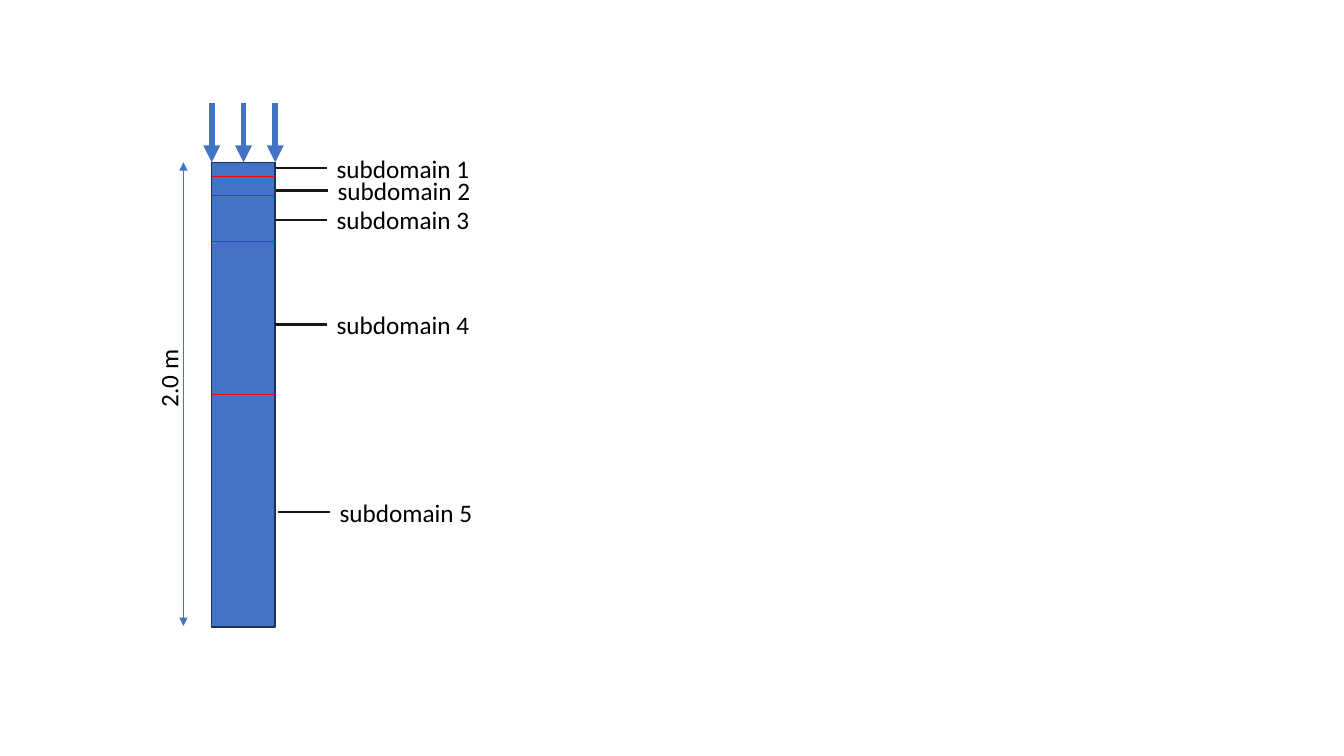
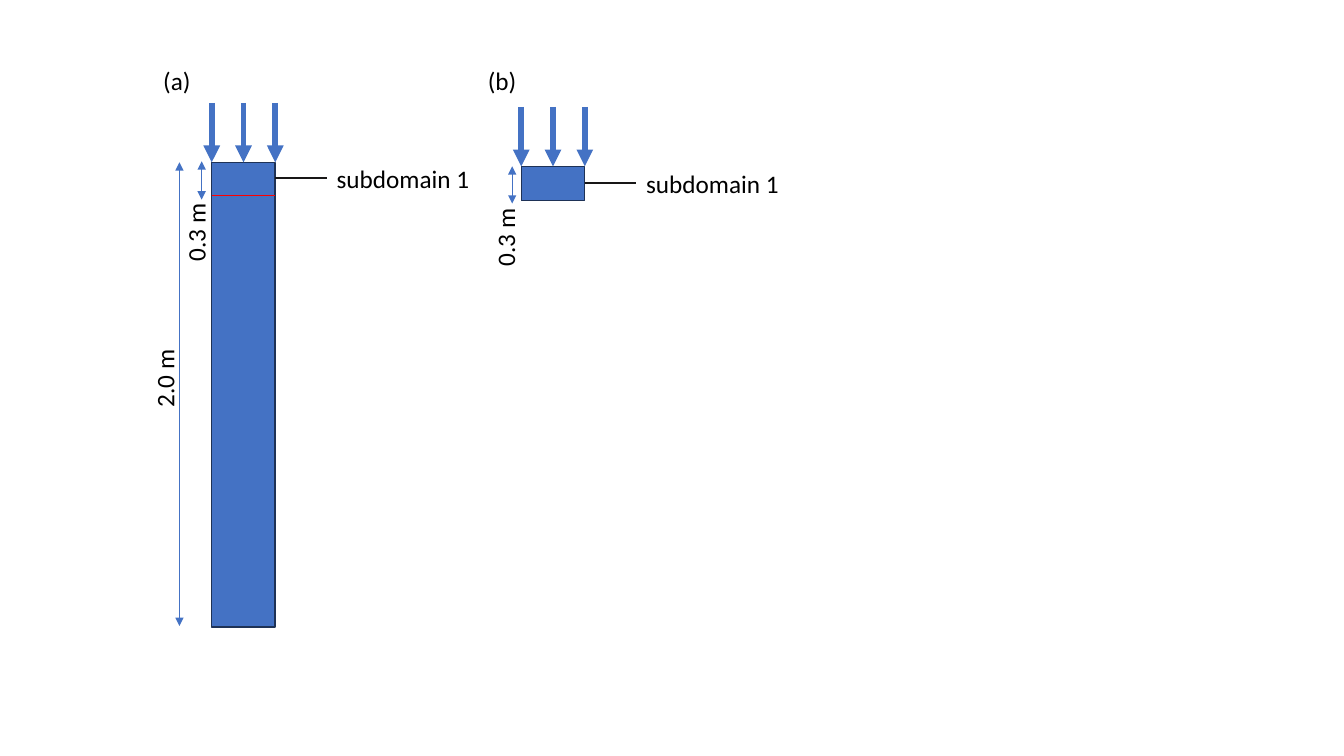
"""Build two slides showing a loaded soil column and its subdomains."""
from dataclasses import dataclass

from lxml import etree
from pptx import Presentation
from pptx.dml.color import RGBColor
from pptx.enum import shapes, text
from pptx.oxml.ns import qn
from pptx.util import Inches, Pt


@dataclass(frozen=True)
class Theme:
    soil: RGBColor = RGBColor(0x44, 0x72, 0xC4)
    outline: RGBColor = RGBColor(0x1E, 0x32, 0x56)
    boundary: RGBColor = RGBColor(0xFF, 0x00, 0x00)
    leader: RGBColor = RGBColor(0x18, 0x17, 0x17)
    ink: RGBColor = RGBColor(0x00, 0x00, 0x00)
    font: str = "Calibri"
    size: int = 18
    thin: float = 0.5
    edge: float = 1
    medium: float = 1.5
    load: float = 4


THEME = Theme()
COLUMN_WIDTH = 0.63
LOAD_LENGTH = 0.59
LOAD_COUNT = 3
LEADER_LENGTH = 0.51
TEXT_HEIGHT = 0.4
LABEL_WIDTH = 1.55
DIMENSION_WIDTH = 0.78

FULL_COLUMN = {"left": 2.1, "top": 1.61, "height": 4.61}
SLIDES = [
    {
        "columns": [{
            **FULL_COLUMN,
            "boundaries": [(3.91, 0), (2.39, 0.01), (1.94, 0), (1.75, 0)],
            "subdomains": [
                ("subdomain 1", 1.67, 0),
                ("subdomain 2", 1.89, 0.01),
                ("subdomain 3", 2.18, 0),
                ("subdomain 4", 3.22, 0),
                ("subdomain 5", 5.08, 0.03),
            ],
        }],
        "dimensions": [("2.0 m", 1.82, 1.61, 6.21, (1.67, 3.75))],
        "captions": [],
    },
    {
        "columns": [
            {**FULL_COLUMN, "boundaries": [(1.94, 0)],
             "subdomains": [("subdomain 1", 1.77, 0)]},
            {"left": 5.17, "top": 1.65, "height": 0.34, "boundaries": [],
             "subdomains": [("subdomain 1", 1.82, 0)]},
        ],
        "dimensions": [
            ("2.0 m", 1.78, 1.61, 6.21, (1.63, 3.75)),
            ("0.3 m", 2.0, 1.6, 1.98, (1.94, 2.3)),
            ("0.3 m", 5.08, 1.65, 2.02, (5.01, 2.35)),
        ],
        "captions": [("(a)", 1.52, 0.6, 0.48), ("(b)", 4.74, 0.6, 0.49)],
    },
]


def add_line(parent, start, end, color, width, arrows=()):
    line = parent.add_connector(
        shapes.MSO_CONNECTOR.STRAIGHT, *(Inches(v) for v in (*start, *end)))
    line.line.color.rgb = color
    line.line.width = Pt(width)
    outline = line.line._get_or_add_ln()
    for arrow in arrows:
        etree.SubElement(outline, qn(f"a:{arrow}"), type="triangle")
    etree.SubElement(line._element.spPr, qn("a:effectLst"))
    return line


def add_label(parent, words, left, top, width, rotation=0):
    label = parent.add_textbox(
        *(Inches(v) for v in (left, top, width, TEXT_HEIGHT)))
    label.rotation = rotation
    frame = label.text_frame
    frame.word_wrap = False
    frame.auto_size = text.MSO_AUTO_SIZE.SHAPE_TO_FIT_TEXT
    run = frame.paragraphs[0].add_run()
    run.text = words
    run.font.name = THEME.font
    run.font.size = Pt(THEME.size)
    run.font.color.rgb = THEME.ink


def add_column(parent, column):
    left, top, height = column["left"], column["top"], column["height"]
    right = left + COLUMN_WIDTH
    soil = parent.add_shape(
        shapes.MSO_SHAPE.RECTANGLE,
        *(Inches(v) for v in (left, top, COLUMN_WIDTH, height)))
    soil.shadow.inherit = False
    soil.fill.solid()
    soil.fill.fore_color.rgb = THEME.soil
    soil.line.color.rgb = THEME.outline
    soil.line.width = Pt(THEME.edge)

    for index in range(LOAD_COUNT):
        x = left + index * COLUMN_WIDTH / (LOAD_COUNT - 1)
        load = add_line(parent, (x, top - LOAD_LENGTH), (x, top),
                        THEME.soil, THEME.load, ["tailEnd"])
        if index == LOAD_COUNT // 2:
            load.end_connect(soil, 0)

    for y, shift in column["boundaries"]:
        add_line(parent, (left + shift, y), (right + shift, y),
                 THEME.boundary, THEME.thin)

    for name, y, shift in column["subdomains"]:
        label_left = right + LEADER_LENGTH + shift
        leader = add_line(parent, (right + shift, y), (label_left, y),
                          THEME.leader, THEME.medium)
        if abs(y - top - height / 2) < 0.01:
            leader.begin_connect(soil, 3)
        add_label(parent, name, label_left, y - TEXT_HEIGHT / 2, LABEL_WIDTH)


def add_dimension(parent, words, x, top, bottom, center):
    add_line(parent, (x, top), (x, bottom), THEME.soil, THEME.thin,
             ["headEnd", "tailEnd"])
    add_label(parent, words, center[0] - DIMENSION_WIDTH / 2,
              center[1] - TEXT_HEIGHT / 2, DIMENSION_WIDTH, 270)


def main():
    deck = Presentation()
    deck.slide_width, deck.slide_height = Inches(13.33), Inches(7.5)
    for content in SLIDES:
        canvas = deck.slides.add_slide(deck.slide_layouts[6]).shapes
        for column in content["columns"]:
            add_column(canvas.add_group_shape().shapes, column)
        for dimension in content["dimensions"]:
            add_dimension(canvas, *dimension)
        for caption in content["captions"]:
            add_label(canvas, *caption)
    deck.save("out.pptx")


if __name__ == "__main__":
    main()
